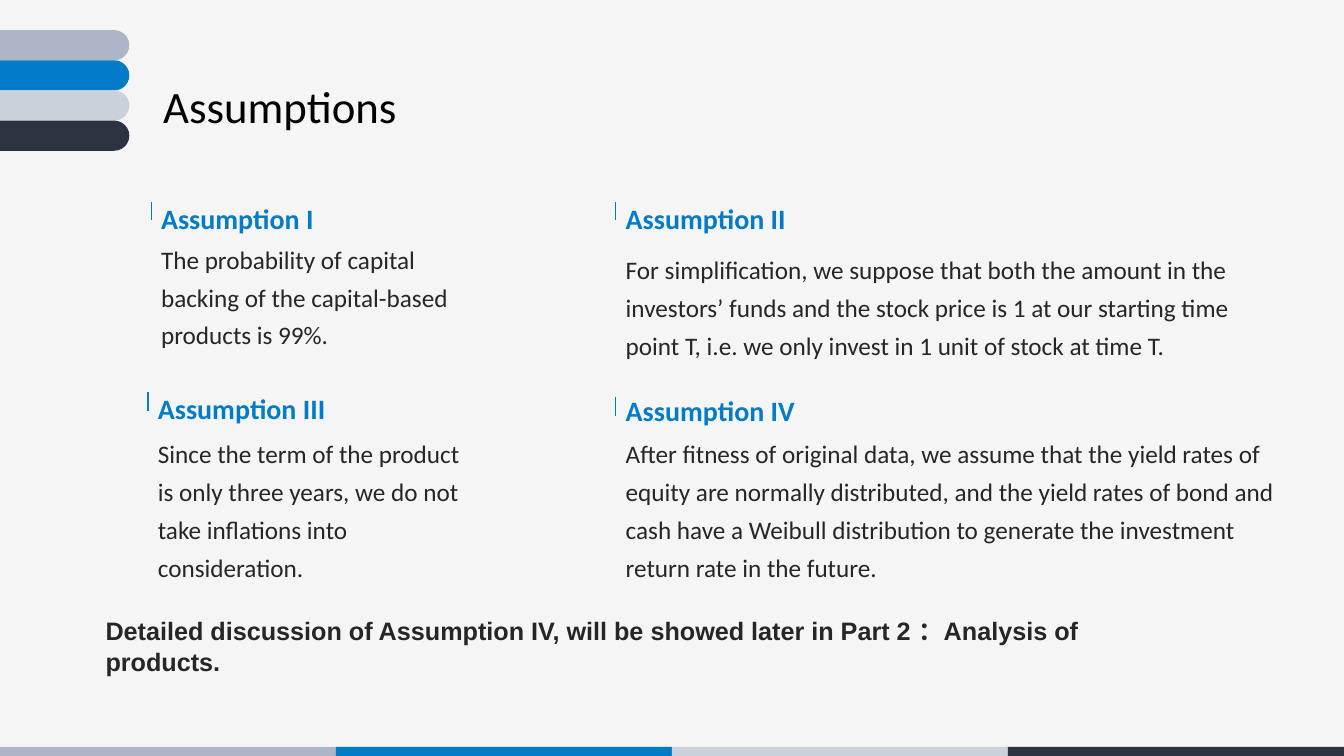
from lxml import etree
from pptx import Presentation
from pptx.dml.color import RGBColor
from pptx.enum.shapes import MSO_CONNECTOR, MSO_SHAPE
from pptx.enum.text import MSO_ANCHOR, MSO_AUTO_SIZE, PP_ALIGN
from pptx.oxml.ns import qn
from pptx.util import Cm, Pt

SLIDE_W, SLIDE_H = 33.87, 19.05
COLORS = {
    "background": "F5F5F5",
    "mist": "ADB6C7",
    "blue": "007BC6",
    "pale": "CBD1DB",
    "navy": "2C3441",
    "body": "262626",
    "title": "000000",
}
BAND = ["mist", "blue", "pale", "navy"]

# left, top, width, distance from heading to body, distance to tick, heading, body
ASSUMPTIONS = [
    (3.81, 4.95, 8.89, 0.89, 0.13, "Assumption I",
     "The probability of capital backing of the capital-based products is 99%."),
    (15.52, 4.95, 16.92, 1.15, 0.13, "Assumption II",
     "For simplification, we suppose that both the amount in the investors’ "
     "funds and the stock price is 1 at our starting time point T, i.e. we "
     "only invest in 1 unit of stock at time T."),
    (3.73, 9.75, 8.38, 0.99, 0.13, "Assumption III",
     "Since the term of the product is only three years, we do not take "
     "inflations into consideration."),
    (15.52, 9.78, 16.92, 0.96, 0.23, "Assumption IV",
     "After fitness of original data, we assume that the yield rates of equity "
     "are normally distributed, and the yield rates of bond and cash have a "
     "Weibull distribution to generate the investment return rate in the future."),
]


def color(name):
    return RGBColor.from_string(COLORS[name])


def write(shape, text, size=18, font="Calibri", ink="body", bold=False, spacing=1.0):
    frame = shape.text_frame
    frame.word_wrap = True
    frame.auto_size = MSO_AUTO_SIZE.NONE
    frame.vertical_anchor = MSO_ANCHOR.TOP
    paragraph = frame.paragraphs[0]
    paragraph.alignment = PP_ALIGN.LEFT
    paragraph.line_spacing = spacing
    run = paragraph.add_run()
    run.text = text
    run.font.size = Pt(size)
    run.font.name = font
    run.font.bold = bold
    run.font.color.rgb = color(ink)


def add_text(slide, left, top, width, height, text, **style):
    box = slide.shapes.add_textbox(Cm(left), Cm(top), Cm(width), Cm(height))
    write(box, text, **style)


def add_bar(slide, kind, left, top, width, height, fill):
    bar = slide.shapes.add_shape(kind, Cm(left), Cm(top), Cm(width), Cm(height))
    bar.shadow.inherit = False
    bar.fill.solid()
    bar.fill.fore_color.rgb = color(fill)
    bar.line.fill.background()
    return bar


def add_footer_band(slide, top, height):
    width = SLIDE_W / len(BAND)
    for i, fill in enumerate(BAND):
        add_bar(slide, MSO_SHAPE.RECTANGLE, i * width, top, width, height, fill)


def add_corner_tabs(slide, left, top, width, pitch):
    """Stack round-ended tabs that run in from the left edge."""
    for i, fill in enumerate(BAND):
        tab = add_bar(slide, MSO_SHAPE.ROUNDED_RECTANGLE,
                      left, top + i * pitch, width, pitch, fill)
        tab.adjustments[0] = 0.5


def add_title(slide, left, top, width, height, text):
    title = slide.shapes.title
    title.left, title.top = Cm(left), Cm(top)
    title.width, title.height = Cm(width), Cm(height)
    write(title, text, size=32, ink="title")


def add_tick(slide, x, top, height):
    tick = slide.shapes.add_connector(
        MSO_CONNECTOR.STRAIGHT, Cm(x), Cm(top), Cm(x), Cm(top + height))
    tick.line.color.rgb = color("blue")
    tick.line.width = Pt(0.75)
    etree.SubElement(tick._element.spPr, qn("a:effectLst"))


def add_assumption(slide, left, top, width, body_gap, tick_gap, heading, body):
    add_text(slide, left, top + body_gap, width, 4, body, spacing=1.25)
    add_text(slide, left, top, 6, 1.1, heading, size=20, ink="blue", bold=True)
    add_tick(slide, left, top + tick_gap, 0.47)


def main():
    deck = Presentation()
    deck.slide_width, deck.slide_height = Cm(SLIDE_W), Cm(SLIDE_H)
    slide = deck.slides.add_slide(deck.slide_layouts[5])
    slide.background.fill.solid()
    slide.background.fill.fore_color.rgb = color("background")

    add_footer_band(slide, top=18.82, height=0.23)
    add_corner_tabs(slide, left=-1.57, top=0.76, width=4.83, pitch=0.76)
    add_title(slide, 3.86, 1.85, 12, 1.63, "Assumptions")
    for assumption in ASSUMPTIONS:
        add_assumption(slide, *assumption)
    add_text(slide, 2.41, 15.39, 27.8, 1.96,
             "Detailed discussion of Assumption IV, will be showed later in "
             "Part 2 ：Analysis of products.", font="Arial", bold=True)
    deck.save("out.pptx")


if __name__ == "__main__":
    main()
